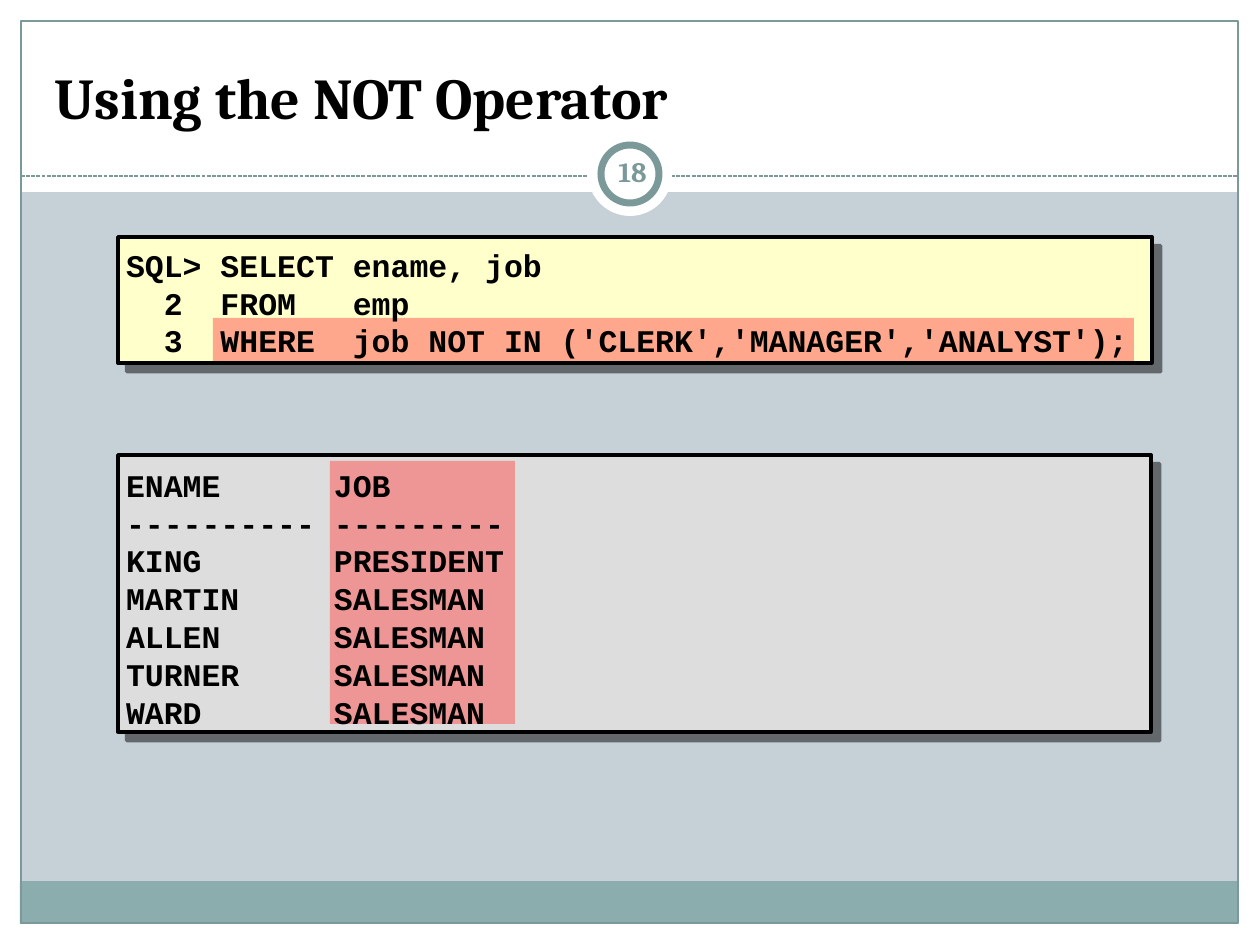
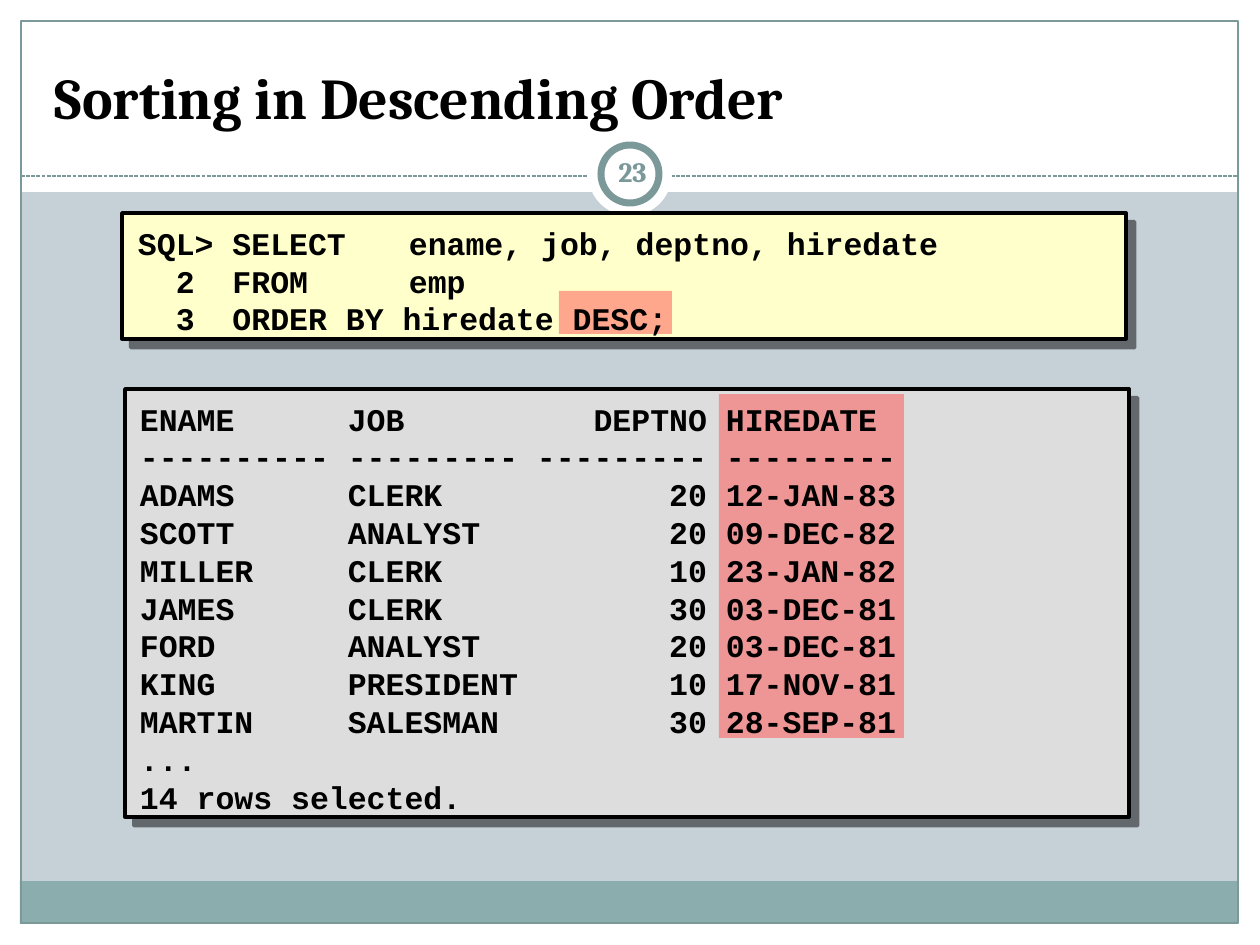
from dataclasses import dataclass

from lxml.etree import SubElement
from pptx import Presentation
from pptx.dml.color import RGBColor
from pptx.enum.dml import MSO_LINE
from pptx.enum.shapes import MSO_CONNECTOR, MSO_SHAPE
from pptx.enum.text import MSO_ANCHOR, MSO_AUTO_SIZE, PP_ALIGN
from pptx.oxml.ns import qn
from pptx.util import Emu, Pt

SCALE = 914400 / 126  # EMU per px


@dataclass(frozen=True)
class Theme:
    back: str = "C5D1D7"
    white: str = "FFFFFF"
    black: str = "000000"
    rule: str = "7C999A"
    footer: str = "8CADAE"
    query: str = "FFFFCC"
    result: str = "DDDDDD"
    highlight: str = "FF5050"
    heading_font: str = "Cambria"
    code_font: str = "Courier New"
    title_size: int = 33
    code_size: int = 18
    code_pitch: float = 21.6
    number_size: int = 16


T = Theme()


def px(*lengths):
    return [Emu(round(n * SCALE)) for n in lengths]


def add_box(shapes, box, fill=None, line=None, width=0.75, kind=MSO_SHAPE.RECTANGLE):
    sp = shapes.add_shape(kind, *px(*box))
    sp.shadow.inherit = False
    if fill:
        sp.fill.solid()
        sp.fill.fore_color.rgb = RGBColor.from_string(fill)
    else:
        sp.fill.background()
    if line:
        sp.line.color.rgb = RGBColor.from_string(line)
        sp.line.width = Pt(width)
    else:
        sp.line.fill.background()
    return sp


SLIDES = [
    {
        "title": "Using the NOT Operator",
        "number": "18",
        "panels": [
            ((118, 237, 1034, 126), T.query),
            ((118, 455, 1033, 277), T.result),
        ],
        "highlights": [(213, 318, 921, 43), (330, 461, 185, 263)],
        "listings": [
            ((113, 234, 1038, 130), """\
SQL> SELECT ename, job
  2  FROM   emp
  3  WHERE  job NOT IN ('CLERK','MANAGER','ANALYST');"""),
            ((113, 454, 1037, 281), """\
ENAME      JOB
---------- ---------
KING       PRESIDENT
MARTIN     SALESMAN
ALLEN      SALESMAN
TURNER     SALESMAN
WARD       SALESMAN"""),
        ],
    },
    {
        "title": "Sorting in Descending Order",
        "number": "23",
        "panels": [
            ((122, 213, 1004, 126), T.query),
            ((125, 389, 1004, 428), T.result),
        ],
        "highlights": [(559, 291, 113, 43), (719, 394, 185, 344)],
        "listings": [
            ((125, 212, 1008, 130), """\
SQL> SELECT  \t ename, job, deptno, hiredate
  2  FROM    \t emp
  3  ORDER BY hiredate DESC;"""),
            ((127, 388, 1008, 432), """\
ENAME      JOB          DEPTNO HIREDATE
---------- --------- --------- ---------
ADAMS      CLERK            20 12-JAN-83
SCOTT      ANALYST          20 09-DEC-82
MILLER     CLERK            10 23-JAN-82
JAMES      CLERK            30 03-DEC-81
FORD       ANALYST          20 03-DEC-81
KING       PRESIDENT        10 17-NOV-81
MARTIN     SALESMAN         30 28-SEP-81
...
14 rows selected."""),
        ],
    },
]

prs = Presentation()
prs.slide_width, prs.slide_height = px(1260, 945)
layout = prs.slide_layouts[5]
slides = [prs.slides.add_slide(layout) for _ in SLIDES]

# The frame is drawn on the first slide, then moved to the shared layout
layout.background.fill.solid()
layout.background.fill.fore_color.rgb = RGBColor.from_string(T.back)
for ph in list(layout.placeholders)[1:]:
    ph.element.getparent().remove(ph.element)

shapes = slides[0].shapes
frame = [add_box(shapes, band, T.white) for band in (
    (0, 924, 1260, 21), (0, 0, 1260, 192), (0, 0, 21, 945), (1239, 0, 21, 945))]
frame.append(add_box(shapes, (20, 881, 1217, 43), T.footer))
frame.append(add_box(shapes, (21, 21, 1217, 902), line=T.rule))
divider = shapes.add_connector(MSO_CONNECTOR.STRAIGHT, *px(21, 176, 1239, 176))
divider.line.color.rgb = RGBColor.from_string(T.rule)
divider.line.width = Pt(0.75)
divider.line.dash_style = MSO_LINE.SQUARE_DOT
SubElement(divider.element.spPr, qn("a:effectLst"))
frame.append(divider)
frame.append(add_box(shapes, (588, 132, 84, 84), T.white, kind=MSO_SHAPE.OVAL))
frame.append(add_box(shapes, (601, 145, 58, 58), T.white, T.rule, 4, MSO_SHAPE.OVAL))
for sp in frame:
    layout.shapes.element.append(sp.element)

for s, content in zip(slides, SLIDES):
    title = s.shapes.title
    title.left, title.top, title.width, title.height = px(42, 32, 1176, 105)
    tf = title.text_frame
    tf.auto_size = MSO_AUTO_SIZE.NONE
    tf.vertical_anchor = MSO_ANCHOR.BOTTOM
    p = tf.paragraphs[0]
    p.alignment = PP_ALIGN.LEFT
    r = p.add_run()
    r.text = content["title"]
    r.font.name, r.font.size, r.font.bold = T.heading_font, Pt(T.title_size), True
    r.font.color.rgb = RGBColor.from_string(T.black)

    for box, fill in content["panels"]:
        sp = add_box(s.shapes, box, fill, T.black, 2)
        effects = sp.element.spPr.find(qn("a:effectLst"))
        shadow = SubElement(effects, qn("a:outerShdw"), blurRad="0", dist=str(Pt(7.1)),
                            dir="2700000", algn="ctr", rotWithShape="0")
        color = SubElement(shadow, qn("a:srgbClr"), val=T.black)
        SubElement(color, qn("a:alpha"), val="50000")

    group = s.shapes.add_group_shape()
    for box in content["highlights"]:
        sp = add_box(group.shapes, box, T.highlight)
        color = sp.element.spPr.find(qn("a:solidFill")).find(qn("a:srgbClr"))
        SubElement(color, qn("a:alpha"), val="50000")

    for box, listing in content["listings"]:
        tf = s.shapes.add_textbox(*px(*box)).text_frame
        tf.word_wrap = True
        tf.vertical_anchor = MSO_ANCHOR.MIDDLE
        tf.margin_left, tf.margin_top, tf.margin_right, tf.margin_bottom = px(13, 13, 13, 6)
        for i, text in enumerate(listing.split("\n")):
            p = tf.add_paragraph() if i else tf.paragraphs[0]
            p.line_spacing = Pt(T.code_pitch)
            tabs = SubElement(p._p.get_or_add_pPr(), qn("a:tabLst"))
            SubElement(tabs, qn("a:tab"), pos=str(px(165)[0]), algn="l")
            r = p.add_run()
            r.text = text
            r.font.name, r.font.size, r.font.bold = T.code_font, Pt(T.code_size), True
            r.font.color.rgb = RGBColor.from_string(T.black)

    tf = s.shapes.add_textbox(*px(601, 141, 63, 60)).text_frame
    tf.word_wrap = True
    tf.vertical_anchor = MSO_ANCHOR.MIDDLE
    tf.margin_left, tf.margin_top, tf.margin_right, tf.margin_bottom = px(6, 6, 6, 6)
    p = tf.paragraphs[0]
    p.alignment = PP_ALIGN.CENTER
    r = p.add_run()
    r.text = content["number"]
    r.font.name, r.font.size, r.font.bold = T.heading_font, Pt(T.number_size), True
    r.font.color.rgb = RGBColor.from_string(T.rule)

prs.save("out.pptx")
